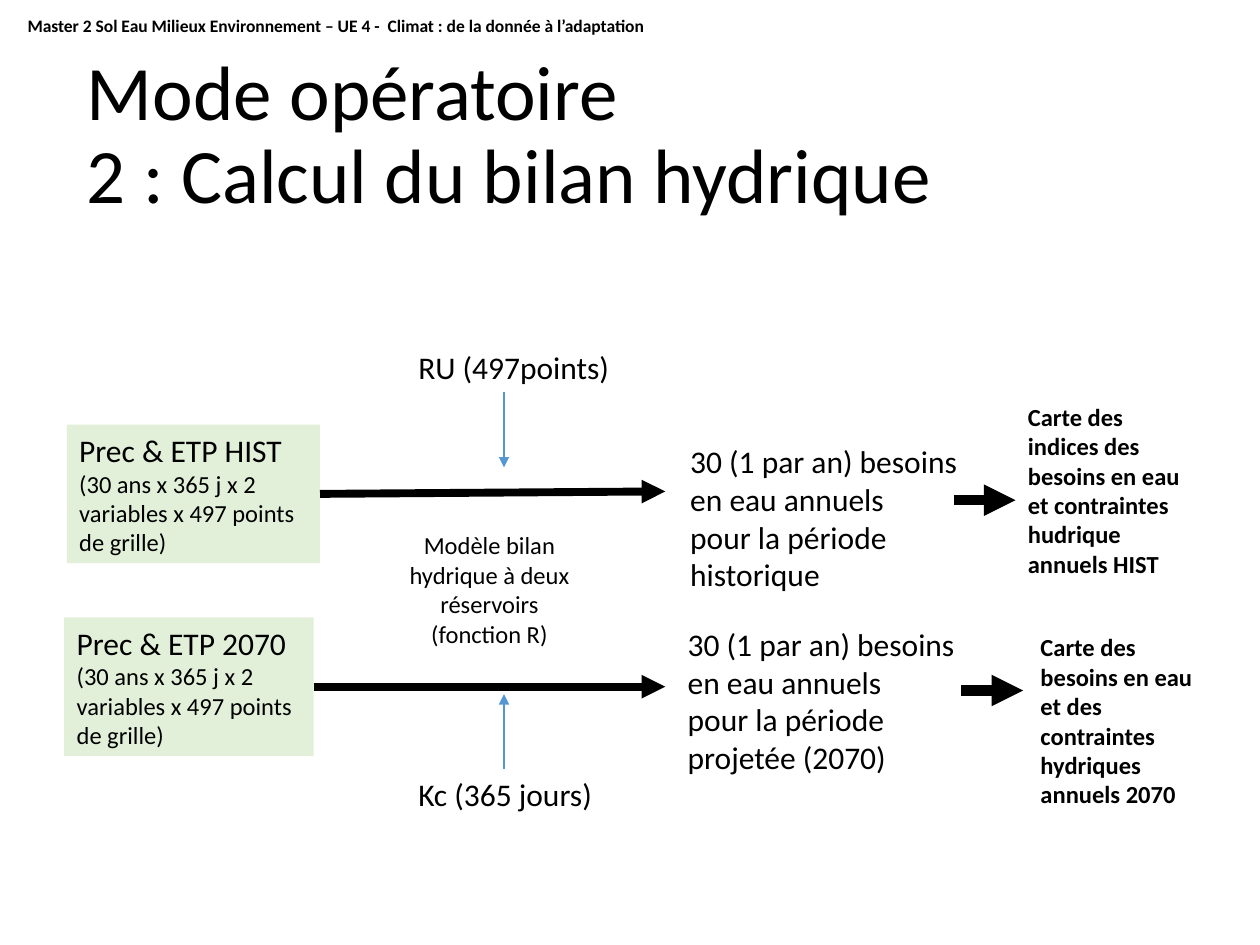
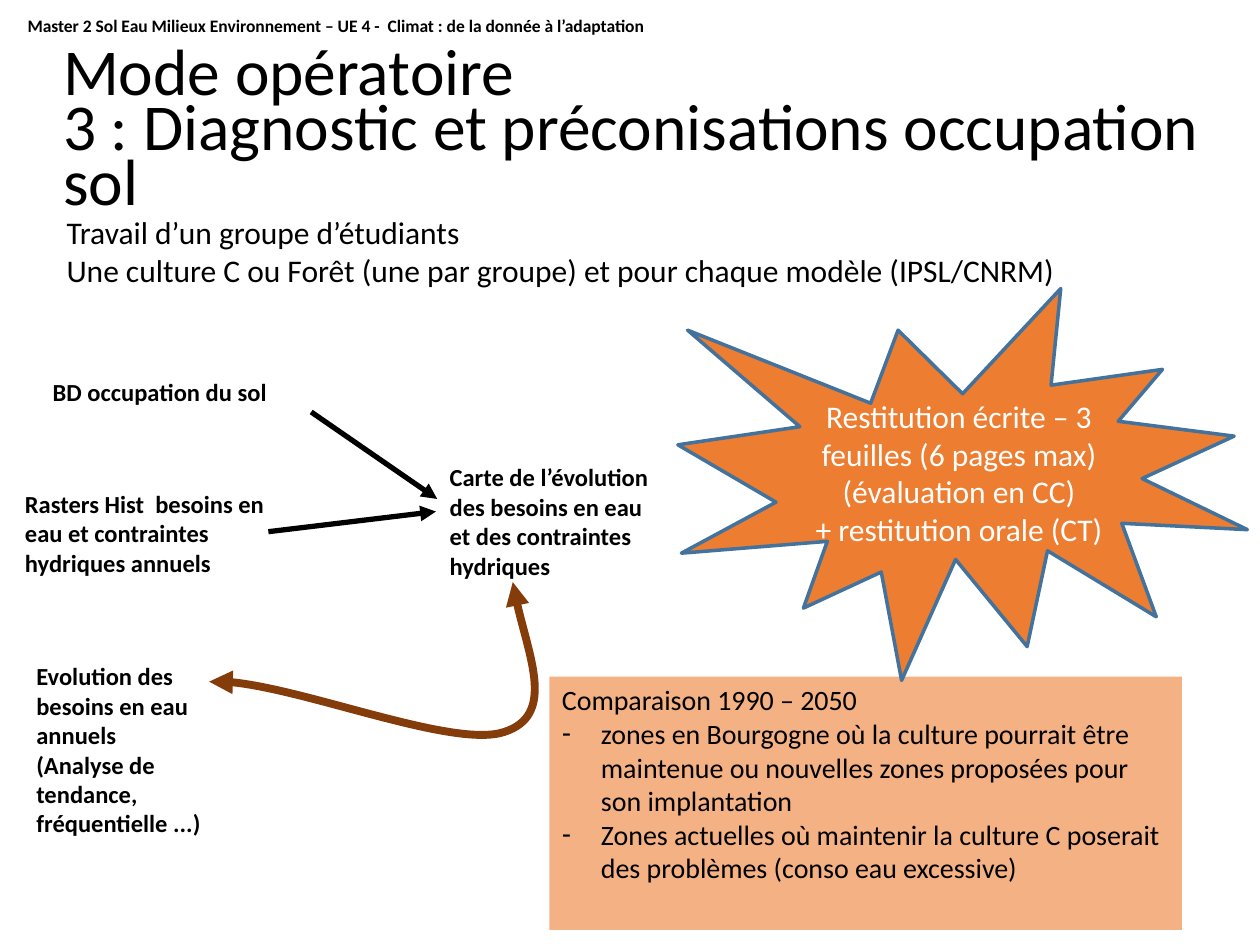
import pptx
import pptx.util
import pptx.dml.color
import pptx.enum.dml
import pptx.enum.shapes
import pptx.enum.text
import pptx.oxml
import pptx.oxml.ns
from dataclasses import dataclass

COLUMNS, ROWS = 100, 75
Align = pptx.enum.text.PP_ALIGN
Anchor = pptx.enum.text.MSO_ANCHOR
Preset = pptx.enum.shapes.MSO_SHAPE


@dataclass(frozen=True)
class Theme:
    font: str = "Calibri"
    ink: str = "000000"
    white: str = "FFFFFF"
    green: str = "E2F0D9"
    peach: str = "F4B183"
    orange: str = "ED7D31"
    outline: str = "43729D"
    sky: str = "5597D3"
    brown: str = "843C0B"
    header: float = 10
    small: float = 14
    medium: float = 16
    large: float = 18
    thin: float = 0.75
    edge: float = 2
    medium_line: float = 3
    thick: float = 4.5
    heavy: float = 6


THEME = Theme()
LARGE = {"size": THEME.large}
SMALL = {"size": THEME.small}
STRONG = {"size": THEME.small, "bold": True}
WHITE = {"size": THEME.large, "color": THEME.white}

HEADER = ("Master 2 Sol Eau Milieux Environnement – UE 4 -  Climat : de la donnée à l’adaptation",
          (1.2, 0.7, 94.9, 2.6))
GRID_NOTE = "(30 ans x 365 j x 2 variables x 497 points de grille)"
NEEDS = "30 (1 par an) besoins en eau annuels"

BALANCE = {
    "title": "Mode opératoire\v2 : Calcul du bilan hydrique",
    "title_area": (5.9, 3.6, 86.2, 14.5),
    "title_format": {"size": 44, "spacing": 0.9},
}
PERIODS = [
    {"source": "Prec & ETP HIST", "source_area": (5.3, 33.7, 20.1, 11),
     "needs": "pour la période historique", "needs_area": (53.8, 34.6, 25.4, 13),
     "map": "Carte des indices des besoins en eau et contraintes hudrique annuels HIST",
     "map_area": (80.6, 31.4, 15.3, 14), "model_row": 39, "map_arrow": (75.7, 39.7)},
    {"source": "Prec & ETP 2070", "source_area": (5.1, 49, 19.8, 11),
     "needs": "pour la période projetée (2070)", "needs_area": (53.6, 49.1, 25.4, 13),
     "map": "Carte des besoins en eau et des contraintes hydriques annuels 2070",
     "map_area": (81.6, 49.7, 15.3, 14), "model_row": 54.5, "map_arrow": (76.3, 54.8)},
]
MODEL_END = 52.8
MAP_ARROW_LENGTH = 4.9
MODEL = (["Modèle bilan hydrique à deux réservoirs", "(fonction R)"], (29.2, 41.6, 19.3, 10.3))
INPUTS = [
    ("RU (497points)", (28.3, 27.1, 23.4, 4), 2, 37.1),
    ("Kc (365 jours)", (28.3, 61, 23.4, 4), 0, 55.1),
]
INPUT_INDENT = 4.9
INPUT_COLUMN = 40

DIAGNOSIS = {
    "title": "Mode opératoire\v3 : Diagnostic et préconisations occupation sol",
    "title_area": (4, 3.4, 94, 14.5),
    "title_format": {"size": 37.4, "spacing": 0.7},
}
NOTES = [
    (["Travail d’un groupe d’étudiants",
      "Une culture C ou Forêt (une par groupe) et pour chaque modèle (IPSL/CNRM)"],
     (4.3, 16.4, 84, 7), LARGE),
    (["BD occupation du sol"], (3.2, 29.4, 20, 3.3), STRONG),
    (["Evolution des besoins en eau annuels (Analyse de tendance, fréquentielle ...)"],
     (1.9, 52, 15.3, 14), STRONG),
    (["Rasters Hist  besoins en eau et contraintes hydriques annuels"],
     (1, 38.3, 21, 8), STRONG),
    (["Carte de l’évolution des besoins en eau et des contraintes hydriques"],
     (34.7, 36.2, 19.1, 10), STRONG),
]
MAP_INPUT_ARROWS = [((21.3, 42.2), (34.6, 40.6)), ((24.7, 32.7), (34.7, 39.6))]
FEEDBACK_CURVE = [(40.7, 46.2), (41.5, 50.9), (44.1, 56.8), (40, 58.1),
                  (36, 59.4), (21.9, 53.7), (16.6, 54.1)]
COMPARISON = ["Comparaison 1990 – 2050",
              "zones en Bourgogne où la culture pourrait être maintenue ou nouvelles zones "
              "proposées pour son implantation",
              "Zones actuelles où maintenir la culture C poserait des problèmes "
              "(conso eau excessive)"]
COMPARISON_AREA = (43.6, 53.7, 50.2, 20.1)
BULLET_INDENT = 0.31
REPORT = ["Restitution écrite – 3 feuilles (6 pages max)", "(évaluation en CC)",
          "+ restitution orale (CT)"]
REPORT_AREA = (53.8, 22.9, 45.2, 31.1)

deck = pptx.Presentation()
deck.slide_width, deck.slide_height = pptx.util.Inches(10), pptx.util.Inches(7.5)


def across(columns):
    return round(deck.slide_width * columns / COLUMNS)


def down(rows):
    return round(deck.slide_height * rows / ROWS)


def place(area):
    left, top, width, height = area
    return across(left), down(top), across(width), down(height)


def rgb(value):
    return pptx.dml.color.RGBColor.from_string(value)


def write(frame, paragraphs, align=Align.LEFT, anchor=Anchor.TOP, spacing=1.0):
    settings = {"word_wrap": True, "auto_size": pptx.enum.text.MSO_AUTO_SIZE.NONE,
                "vertical_anchor": anchor,
                "margin_left": across(1), "margin_right": across(1),
                "margin_top": down(0.5), "margin_bottom": down(0.5)}
    for name, value in settings.items():
        setattr(frame, name, value)
    for index, (text, style) in enumerate(paragraphs):
        para = frame.paragraphs[0] if index == 0 else frame.add_paragraph()
        para.text = text
        layout = {"alignment": align, "line_spacing": spacing,
                  "space_before": pptx.util.Pt(0), "space_after": pptx.util.Pt(0)}
        for name, value in layout.items():
            setattr(para, name, value)
        for span in para.runs:
            values = {"name": THEME.font, "size": pptx.util.Pt(style["size"]),
                      "bold": style.get("bold", False)}
            for name, value in values.items():
                setattr(span.font, name, value)
            span.font.color.rgb = rgb(style.get("color", THEME.ink))


def add_text(page, texts, area, style, **options):
    box = page.shapes.add_textbox(*place(area))
    write(box.text_frame, [(text, style) for text in texts], **options)
    return box


def add_panel(page, preset, area, fill, paragraphs, **options):
    panel = page.shapes.add_shape(preset, *place(area))
    panel.shadow.inherit = False
    panel.fill.solid()
    panel.fill.fore_color.rgb = rgb(fill)
    panel.line.fill.background()
    write(panel.text_frame, paragraphs, **options)
    return panel


def draw_line(shape, color, width, ends=()):
    shape.line.color.rgb = rgb(color)
    shape.line.width = pptx.util.Pt(width)
    stroke = shape.element.spPr.find(pptx.oxml.ns.qn("a:ln"))
    for end in ends:
        tip = pptx.oxml.parse_xml(f'<a:{end} {pptx.oxml.ns.nsdecls("a")} type="triangle"/>')
        stroke.append(tip)


def add_arrow(page, start, end, color, width, origin=None, side=None):
    arrow = page.shapes.add_connector(pptx.enum.shapes.MSO_CONNECTOR.STRAIGHT,
                                      across(start[0]), down(start[1]),
                                      across(end[0]), down(end[1]))
    if origin is not None:
        arrow.begin_connect(origin, side)
    draw_line(arrow, color, width, ["tailEnd"])
    arrow.element.spPr.append(
        pptx.oxml.parse_xml(f'<a:effectLst {pptx.oxml.ns.nsdecls("a")}/>'))


def add_curve(page, points):
    spots = [(across(x), down(y)) for x, y in points]
    builder = page.shapes.build_freeform(*spots[0])
    builder.add_line_segments(spots[1:], close=False)
    curve = builder.convert_to_shape()
    curve.shadow.inherit = False
    curve.fill.background()
    draw_line(curve, THEME.brown, THEME.thick, ["headEnd", "tailEnd"])
    segments = list(curve.element.iter(pptx.oxml.ns.qn("a:lnTo")))
    outline = segments[0].getparent()
    for first in range(0, len(segments), 3):
        bend = pptx.oxml.parse_xml(f'<a:cubicBezTo {pptx.oxml.ns.nsdecls("a")}/>')
        for segment in segments[first:first + 3]:
            bend.append(segment[0])
            outline.remove(segment)
        outline.append(bend)


def set_bullet(para, mark):
    props = para._p.get_or_add_pPr()
    indent = pptx.util.Inches(BULLET_INDENT) if mark else 0
    props.set("marL", str(indent))
    props.set("indent", str(-indent))
    tag = f'buChar char="{mark}"' if mark else "buNone"
    name, _, attribute = tag.partition(" ")
    props.append(pptx.oxml.parse_xml(
        f'<a:{name} {pptx.oxml.ns.nsdecls("a")} {attribute}/>'))


def start_page(content, layout):
    page = deck.slides.add_slide(deck.slide_layouts[layout])
    title = page.shapes.title
    title.left, title.top, title.width, title.height = place(content["title_area"])
    style = content["title_format"]
    write(title.text_frame, [(content["title"], style)], anchor=Anchor.MIDDLE,
          spacing=style["spacing"])
    return page


def add_header(page):
    box = add_text(page, [HEADER[0]], HEADER[1], {"size": THEME.header, "bold": True})
    deck.slide_master.shapes.element.append(box.element)


def build_balance():
    page = start_page(BALANCE, 5)
    add_header(page)
    for text, area, side, target in INPUTS:
        box = add_text(page, [text], area, LARGE)
        box.text_frame.margin_left = across(INPUT_INDENT)
        edge = area[1] + (area[3] if side == 2 else 0)
        add_arrow(page, (INPUT_COLUMN, edge), (INPUT_COLUMN, target),
                  THEME.sky, THEME.thin, box, side)
    add_text(page, *MODEL, SMALL, align=Align.CENTER)
    for period in PERIODS:
        source = add_panel(page, Preset.RECTANGLE, period["source_area"], THEME.green,
                           [(period["source"], LARGE), (GRID_NOTE, SMALL)])
        add_text(page, [NEEDS, period["needs"]], period["needs_area"], LARGE)
        add_text(page, [period["map"]], period["map_area"], STRONG)
        left, _, width, _ = period["source_area"]
        row = period["model_row"]
        add_arrow(page, (left + width, row), (MODEL_END, row),
                  THEME.ink, THEME.thick, source, 3)
        column, row = period["map_arrow"]
        add_arrow(page, (column, row), (column + MAP_ARROW_LENGTH, row),
                  THEME.ink, THEME.heavy)


def build_diagnosis():
    page = start_page(DIAGNOSIS, 1)
    body = page.placeholders[1]
    body.left, body.top, body.width, body.height = place(COMPARISON_AREA)
    body.fill.solid()
    body.fill.fore_color.rgb = rgb(THEME.peach)
    write(body.text_frame, [(text, {"size": THEME.medium}) for text in COMPARISON])
    for index, para in enumerate(body.text_frame.paragraphs):
        set_bullet(para, "-" if index else "")
    for texts, area, style in NOTES:
        add_text(page, texts, area, style)
    for start, end in MAP_INPUT_ARROWS:
        add_arrow(page, start, end, THEME.ink, THEME.medium_line)
    add_curve(page, FEEDBACK_CURVE)
    burst = add_panel(page, Preset.EXPLOSION1, REPORT_AREA, THEME.orange,
                      [(text, WHITE) for text in REPORT],
                      align=Align.CENTER, anchor=Anchor.MIDDLE)
    draw_line(burst, THEME.outline, THEME.edge)


def main():
    build_balance()
    build_diagnosis()
    deck.save("out.pptx")


if __name__ == "__main__":
    main()
